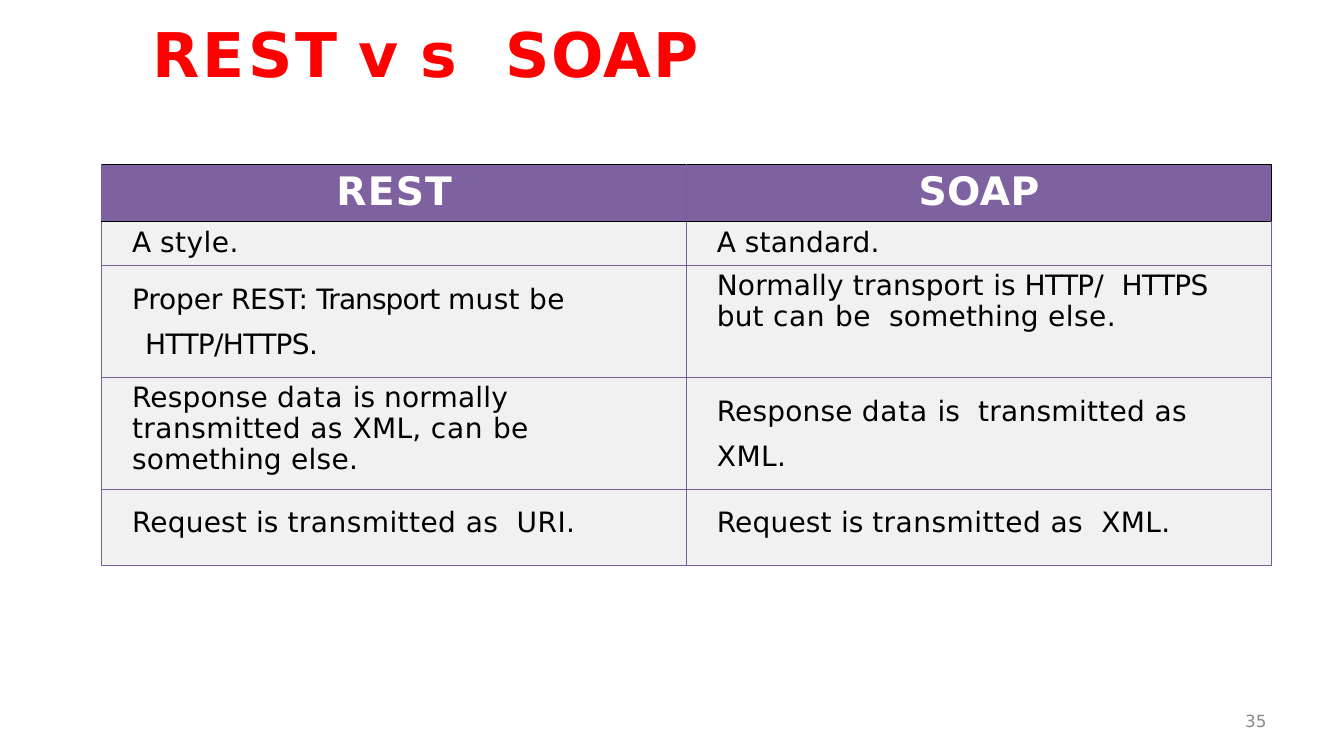
from lxml.etree import SubElement
from pptx import Presentation
from pptx.dml.color import RGBColor
from pptx.enum.text import PP_ALIGN
from pptx.oxml.ns import qn
from pptx.util import Pt

PX = 9144
FONT = "DejaVu Sans"
COLORS = {
    "title": "FF0000",
    "header": "7E62A0",
    "header_text": "FFFFFF",
    "body": "F1F1F1",
    "body_text": "000000",
    "border": "7B5D9E",
    "edge": "000000",
    "number": "898989",
}
WIDE = 6.4
TITLE = [("R", 2.2), ("E", 2.4), ("S", 2), ("T v s\t", 0),
         ("S", 1.2), ("O", 0), ("A", 1.3), ("P", 0)]
HEADERS = [[("REST", 0.9)], [("SOAP", 0.3)]]
SINGLE = {"before": 1.5}
TIGHT = {"before": 2.6, "leading": 0.96}
LOOSE = {"before": 3.5, "leading": Pt(32.5)}
REQUEST = [("Request ", 0.1), ("is ", 0), ("transmitted as", 0.3), (" ", WIDE)]
RESPONSE = [("Response ", 0.1), ("data ", 0.5)]
ROWS = [
    [([("A ", 0), ("style.", 0.3)], SINGLE),
     ([("A ", 0), ("standard.", 0.1)], SINGLE)],
    [([("Proper ", -0.1), ("REST: ", -0.3), ("Transport ", -0.7), ("must ", 0.2),
       ("be ", 0.3), ("HTTP/HTTPS.", -0.5)], {**LOOSE, "margin": 33, "indent": -13}),
     ([("Normally transport ", 0.1), ("is ", 0), ("HTTP", -0.5), ("/", 0), (" ", WIDE),
       ("HTTPS ", -0.5), ("but ", 0.1), ("can ", 0.5), ("be", 0.3), (" ", WIDE),
       ("something ", 0.1), ("else.", 0.3)], TIGHT)],
    [(RESPONSE + [("is ", 0), ("normally ", 0.1), ("transmitted as ", 0.3),
                  ("XML, ", 0.2), ("can ", 0.5), ("be ", 0.2),
                  ("something ", 0.1), ("else.", 0.2)], TIGHT),
     (RESPONSE + [("is", 0), (" ", WIDE), ("transmitted ", 0.2), ("as XML.", 0.3)], LOOSE)],
    [(REQUEST + [("URI.", 0.3)], LOOSE),
     (REQUEST + [("XML.", 0.2)], LOOSE)],
]
ROW_HEIGHTS = [55, 42, 111, 111, 76]


def px(length):
    """Turn a length in px into EMU."""
    return length * PX


def write_text(frame, spans, size, color, bold=False, align=PP_ALIGN.LEFT,
               before=0, leading=None, margin=0, indent=0, tab=None):
    """Fill the first paragraph with (text, letter spacing) spans."""
    para = frame.paragraphs[0]
    para.alignment = align
    para.space_before = Pt(before)
    if leading:
        para.line_spacing = leading
    properties = para._p.get_or_add_pPr()
    properties.set("marL", str(px(margin)))
    properties.set("indent", str(px(indent)))
    if tab:
        stops = SubElement(properties, qn("a:tabLst"))
        SubElement(stops, qn("a:tab"), pos=str(px(tab)), algn="l")
    for text, spacing in spans:
        span = para.add_run()
        span.text = text
        span.font.name = FONT
        span.font.size = Pt(size)
        span.font.bold = bold
        span.font.color.rgb = RGBColor.from_string(COLORS[color])
        span._r.get_or_add_rPr().set("spc", str(round(spacing * 100)))


def add_text(page, left, top, width, height, spans, **text_format):
    """Add a text box without insets."""
    box = page.shapes.add_textbox(px(left), px(top), px(width), px(height))
    frame = box.text_frame
    frame.word_wrap = True
    frame.margin_left = frame.margin_right = frame.margin_top = frame.margin_bottom = 0
    write_text(frame, spans, **text_format)


def style_cell(cell, fill, borders):
    """Set the border colours (left, right, top, bottom) and the fill of a cell."""
    properties = cell._tc.get_or_add_tcPr()
    for side, color in zip(("lnL", "lnR", "lnT", "lnB"), borders):
        line = SubElement(properties, qn(f"a:{side}"), w=str(Pt(0.75)))
        solid = SubElement(line, qn("a:solidFill"))
        SubElement(solid, qn("a:srgbClr"), val=COLORS[color])
    cell.fill.solid()
    cell.fill.fore_color.rgb = RGBColor.from_string(COLORS[fill])


def add_comparison(page):
    """Add the table that sets REST against SOAP."""
    table = page.shapes.add_table(
        len(ROW_HEIGHTS), len(HEADERS), px(101), px(163), px(1160), px(sum(ROW_HEIGHTS))
    ).table
    for row, height in zip(table.rows, ROW_HEIGHTS):
        row.height = px(height)
    for column, spans in enumerate(HEADERS):
        cell = table.cell(0, column)
        right = "edge" if column == len(HEADERS) - 1 else "border"
        style_cell(cell, "header", ("border", right, "edge", "edge"))
        write_text(cell.text_frame, spans, size=28, color="header_text", bold=True,
                   align=PP_ALIGN.CENTER, before=1.4)
    for number, row in enumerate(ROWS, 1):
        top = "edge" if number == 1 else "border"
        for column, (spans, text_format) in enumerate(row):
            cell = table.cell(number, column)
            cell.margin_right = px(30)
            style_cell(cell, "body", ("border", "border", top, "border"))
            write_text(cell.text_frame, spans, size=20, color="body_text",
                       **{"margin": 20, **text_format})


def main():
    """Build the slide and save it."""
    deck = Presentation()
    deck.slide_width, deck.slide_height = px(1333), px(750)
    page = deck.slides.add_slide(deck.slide_layouts[6])
    add_text(page, 150, 16, 567, 80, TITLE, size=44, color="title", bold=True,
             before=1, margin=1, tab=333)
    add_comparison(page)
    add_text(page, 1231, 705, 30, 30, [("35", 0)], size=12, color="number", margin=4)
    deck.save("out.pptx")


if __name__ == "__main__":
    main()
